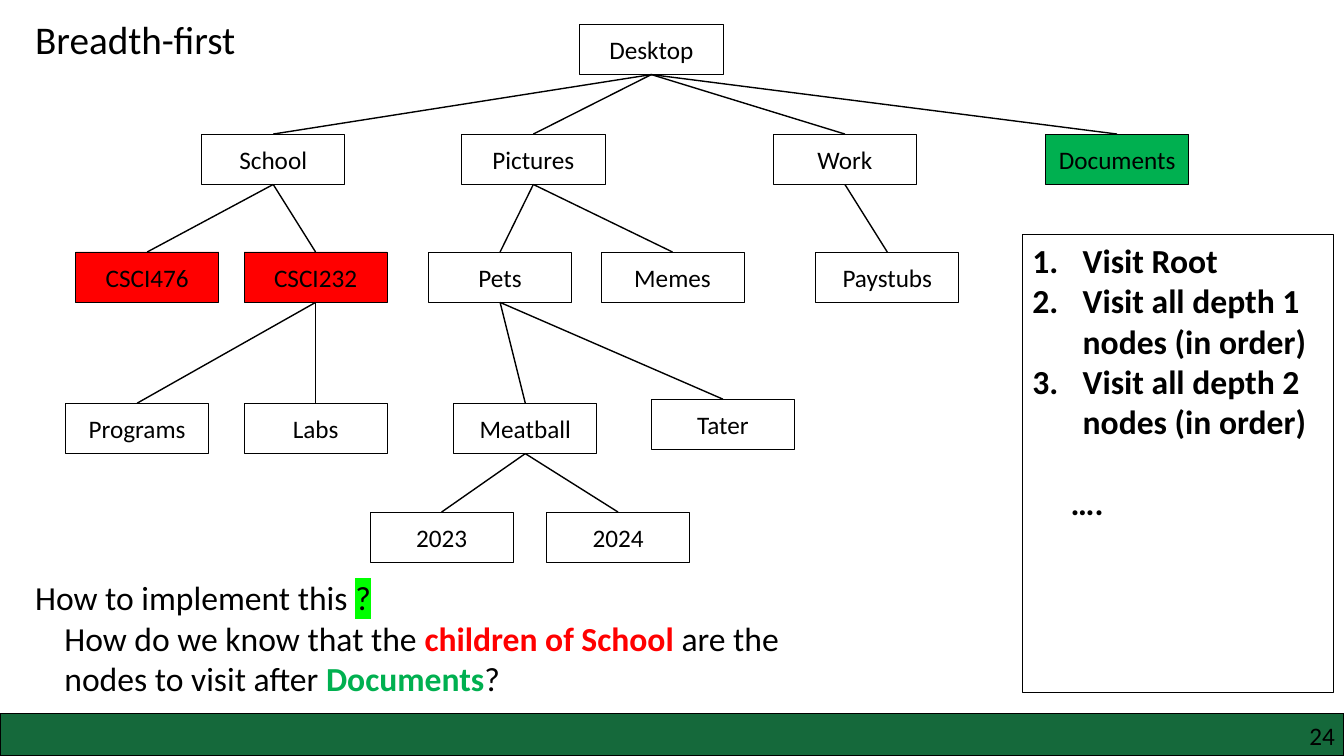
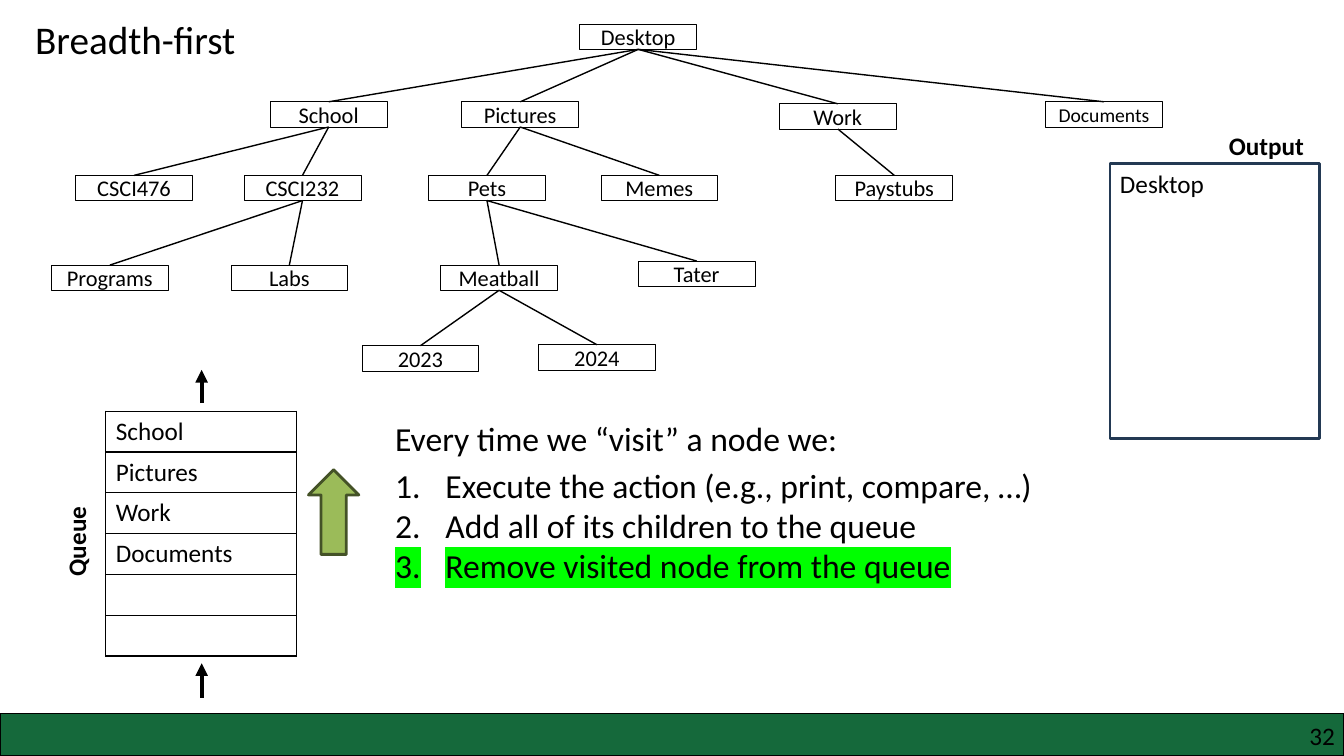
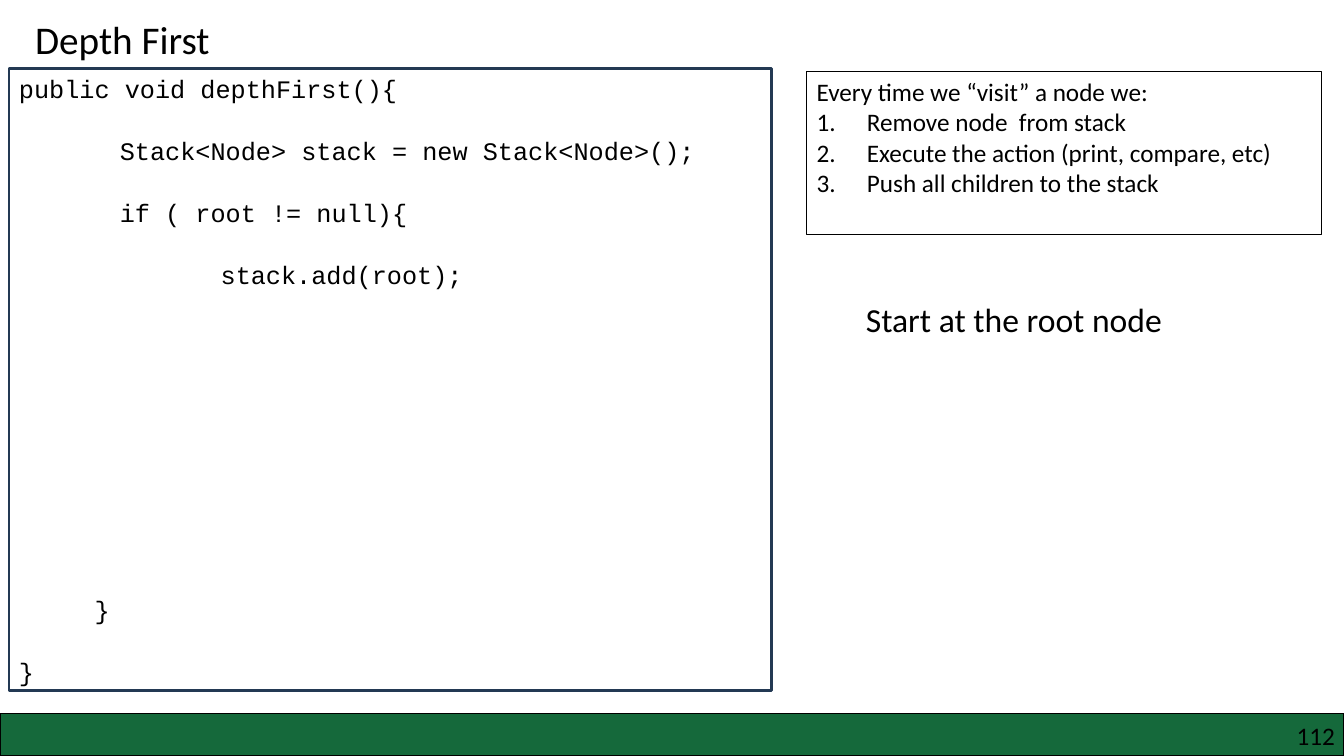
from lxml import etree
from pptx import Presentation
from pptx.dml.color import RGBColor
from pptx.enum.shapes import MSO_CONNECTOR, MSO_SHAPE
from pptx.enum.text import MSO_ANCHOR, PP_ALIGN
from pptx.oxml.ns import qn
from pptx.util import Pt

PX = 9144  # 100 px to the inch
W, H = 1333, 750
RECT, ARROW = MSO_SHAPE.RECTANGLE, MSO_SHAPE.RIGHT_ARROW
STRAIGHT = MSO_CONNECTOR.STRAIGHT
LEFT, CENTER, RIGHT = PP_ALIGN.LEFT, PP_ALIGN.CENTER, PP_ALIGN.RIGHT
TOP, MIDDLE = MSO_ANCHOR.TOP, MSO_ANCHOR.MIDDLE
BOTTOM_SITE, TOP_SITE = 2, 0

C = {
    "black": "000000", "white": "FFFFFF", "band": "15693B", "navy": "233953",
    "red": "FF0000", "green": "00B050", "lime": "00FF00",
    "arrow": "9BBB59", "arrow_edge": "445227",
}


def box(s, x, y, w, h, paras=(), size=18, font="Calibri", bold=False, align=LEFT,
        anchor=TOP, fill=None, line=None, line_w=0.75, inset=True, rot=0, kind=RECT):
    """A shape with text. A paragraph is a string or a dict with runs and
    optional num, left (px) and before (pt); a run is (text, options)."""
    if fill or line:
        sp = s.shapes.add_shape(kind, x * PX, y * PX, w * PX, h * PX)
        sp.shadow.inherit = False
    else:
        sp = s.shapes.add_textbox(x * PX, y * PX, w * PX, h * PX)
    sp.rotation = rot
    if fill:
        sp.fill.solid()
        sp.fill.fore_color.rgb = RGBColor.from_string(C[fill])
    else:
        sp.fill.background()
    if line:
        sp.line.color.rgb = RGBColor.from_string(C[line])
        sp.line.width = Pt(line_w)
    tf = sp.text_frame
    tf.word_wrap = True
    tf.vertical_anchor = anchor
    if not inset:
        tf.margin_left = tf.margin_right = tf.margin_top = tf.margin_bottom = 0
    for i, para in enumerate(paras):
        if isinstance(para, str):
            para = {"runs": [(para, {})]}
        p = tf.paragraphs[0] if i == 0 else tf.add_paragraph()
        p.alignment = align
        if "before" in para:
            p.space_before = Pt(para["before"])
        pPr = p._p.get_or_add_pPr()
        if "left" in para:
            pPr.set("marL", str(para["left"] * PX))
        if para.get("num"):
            pPr.set("marL", str(50 * PX))
            pPr.set("indent", str(-50 * PX))
            etree.SubElement(pPr, qn("a:buFont"), typeface="+mj-lt")
            etree.SubElement(pPr, qn("a:buAutoNum"), type="arabicPeriod")
        for text, opts in para["runs"]:
            r = p.add_run()
            r.text = text
            r.font.size = Pt(size)
            r.font.bold = opts.get("bold", bold)
            r.font.color.rgb = RGBColor.from_string(C[opts.get("color", "black")])
            if "mark" in opts:
                mark = etree.SubElement(r._r.get_or_add_rPr(), qn("a:highlight"))
                etree.SubElement(mark, qn("a:srgbClr"), val=C[opts["mark"]])
            r.font.name = font
    return sp


def line(s, width, x1=0, y1=0, x2=0, y2=0):
    cx = s.shapes.add_connector(STRAIGHT, x1 * PX, y1 * PX, x2 * PX, y2 * PX)
    cx.line.color.rgb = RGBColor.from_string(C["black"])
    cx.line.width = Pt(width)
    etree.SubElement(cx._element.spPr, qn("a:effectLst"))
    return cx


prs = Presentation()
prs.slide_width, prs.slide_height = W * PX, H * PX

# Band, page number and title of every slide
slides = []
for title, number in [("Breadth-first", "24"), ("Breadth-first", "32"), ("Depth First", "112")]:
    s = prs.slides.add_slide(prs.slide_layouts[6])
    box(s, 0, 708, W, 42, fill="band", line="black", line_w=1)
    box(s, 1017, 715, 307, 30, [number], align=RIGHT, inset=False)
    box(s, 25, 10, 234, 57, [title], size=28)
    slides.append(s)
question, queue, code = slides

# Folder tree: name, parent, place on the large tree, place on the small tree
NODES = [
    ("Desktop", None, (575, 24), (575, 24)),
    ("School", "Desktop", (200, 133), (268, 101)),
    ("Pictures", "Desktop", (458, 133), (458, 101)),
    ("Work", "Desktop", (767, 133), (773, 103)),
    ("Documents", "Desktop", (1037, 133), (1037, 101)),
    ("CSCI476", "School", (75, 250), (75, 174)),
    ("CSCI232", "School", (242, 250), (242, 174)),
    ("Pets", "Pictures", (425, 250), (425, 174)),
    ("Memes", "Pictures", (596, 250), (596, 174)),
    ("Paystubs", "Work", (809, 250), (829, 174)),
    ("Programs", "CSCI232", (65, 400), (51, 263)),
    ("Labs", "CSCI232", (242, 400), (229, 263)),
    ("Meatball", "Pets", (450, 400), (437, 263)),
    ("Tater", "Pets", (646, 396), (633, 259)),
    ("2023", "Meatball", (367, 508), (359, 343)),
    ("2024", "Meatball", (542, 508), (534, 342)),
]
TREES = [
    (question, 142, 50, 18, {}, {"Documents": "green", "CSCI476": "red", "CSCI232": "red"}),
    (queue, 116, 25, 16, {"Documents": 14}, {}),
]
for i, (s, w, h, size, sizes, fills) in enumerate(TREES):
    shapes = {}
    for name, parent, *places in NODES:
        shapes[name] = box(s, *places[i], w, h, [name], size=sizes.get(name, size),
                           align=CENTER, anchor=MIDDLE, fill=fills.get(name, "white"),
                           line="black", line_w=0.5)
    for name, parent, *places in NODES:
        if parent:
            edge = line(s, 1)
            edge.begin_connect(shapes[parent], BOTTOM_SITE)
            edge.end_connect(shapes[name], TOP_SITE)

# Slide 1: visiting order and the question
visits = ["Visit Root", "Visit all depth 1 nodes (in order)", "Visit all depth 2 nodes (in order)"]
box(question, 1014, 233, 309, 454,
    [{"runs": [(v, {})], "num": True} for v in visits]
    + [{"runs": [("….", {})], "left": 38, "before": 29}],
    size=24, bold=True, line="black")
box(question, 25, 567, 380, 50,
    [{"runs": [("How to implement this ", {}), ("?", {"mark": "lime"})]}], size=24)
box(question, 54, 608, 729, 91, [{"runs": [
    ("How do we know that the ", {}),
    ("children of School ", {"color": "red", "bold": True}),
    ("are the nodes to visit after ", {}),
    ("Documents", {"color": "green", "bold": True}),
    ("?", {}),
]}], size=24)

# Slide 2: queue, steps and output
QUEUED = ["School", "Pictures", "Work", "Documents", "", ""]
frame = queue.shapes.add_table(len(QUEUED), 1, 105 * PX, 408 * PX, 189 * PX, 243 * PX)
table = frame.table
table.first_row = table.horz_banding = False
for row, name in zip(table.rows, QUEUED):
    cell = row.cells[0]
    tcPr = cell._tc.get_or_add_tcPr()
    for side in ("a:lnL", "a:lnR", "a:lnT", "a:lnB"):
        ln = etree.SubElement(tcPr, qn(side), w=str(Pt(1)))
        solid = etree.SubElement(ln, qn("a:solidFill"))
        etree.SubElement(solid, qn("a:srgbClr"), val=C["black"])
    cell.fill.background()
    if name:
        r = cell.text_frame.paragraphs[0].add_run()
        r.text = name
        r.font.size = Pt(18)
        r.font.name = "Calibri"
        r.font.color.rgb = RGBColor.from_string(C["black"])
box(queue, 26, 512, 99, 40, ["Queue"], bold=True, rot=270)
for tail_y, head_y in [(692, 658), (400, 367)]:
    arrow = line(queue, 3, 200, tail_y, 200, head_y)
    etree.SubElement(arrow.line._get_or_add_ln(), qn("a:tailEnd"), type="triangle")
box(queue, 382, 410, 495, 50, ["Every time we “visit” a node we:"], size=24)
steps = [
    ("Execute the action (e.g., print, compare, …)", {}),
    ("Add all of its children to the queue", {}),
    ("Remove visited node from the queue", {"mark": "lime"}),
]
box(queue, 382, 456, 722, 131, [{"runs": [step], "num": True} for step in steps], size=24)
box(queue, 1101, 162, 208, 273, ["Desktop"], line="navy", line_w=2)
box(queue, 1209, 124, 103, 40, ["Output"], bold=True)
box(queue, 289, 483, 84, 50, fill="arrow", line="arrow_edge", line_w=2, rot=270, kind=ARROW)

# Slide 3: code and steps; each line is text, indent in px, space before in pt
CODE = [
    ("public void depthFirst(){", 0, 0),
    ("Stack<Node> stack = new Stack<Node>();", 100, 22.7),
    ("if ( root != null){", 100, 22.7),
    ("stack.add(root);", 200, 22.7),
    ("     }", 0, 217.5),
    ("}", 0, 22.7),
]
box(code, 9, 68, 756, 617,
    [{"runs": [(text, {})], "left": left, "before": before} for text, left, before in CODE],
    font="Courier New", line="navy", line_w=2)
steps = ["Remove node  from stack", "Execute the action (print, compare, etc)",
         "Push all children to the stack"]
box(code, 800, 71, 511, 162,
    ["Every time we “visit” a node we:"] + [{"runs": [(t, {})], "num": True} for t in steps],
    line="black")
box(code, 849, 292, 336, 50, ["Start at the root node"], size=24)

prs.save("out.pptx")
